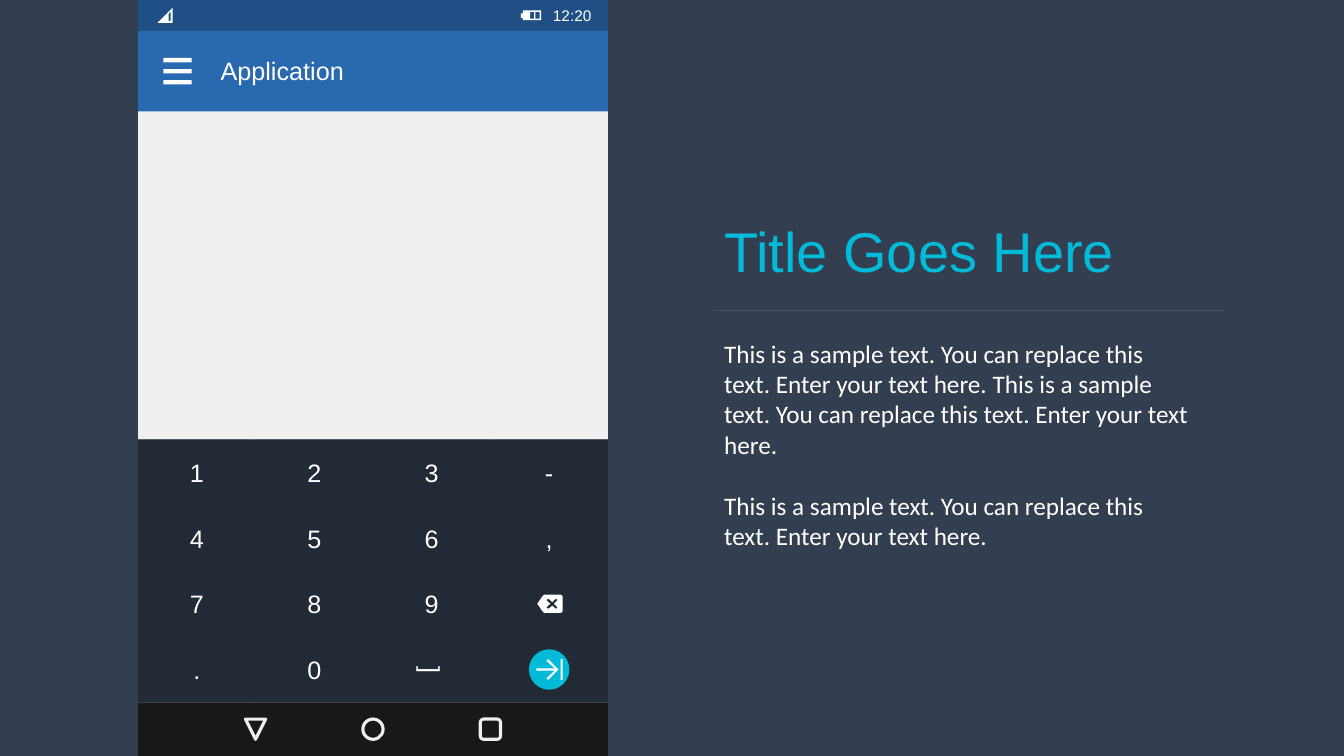
from lxml.etree import SubElement
from pptx import Presentation
from pptx.dml.color import RGBColor
from pptx.enum.shapes import MSO_CONNECTOR, MSO_SHAPE
from pptx.enum.text import MSO_ANCHOR, MSO_AUTO_SIZE, PP_ALIGN
from pptx.oxml.ns import qn
from pptx.util import Cm, Pt

COLORS = {
    "background": "333F50", "screen": "EFEFEF", "status": "1F4F84",
    "app_bar": "2969B0", "keypad": "222A35", "nav": "181818",
    "accent": "03BAD9", "white": "FFFFFF", "edge": "BFBFBF", "rule": "44546A",
}
SIGNAL = [
    [(0.38, 0), (0.38, 0.38), (0, 0.38)],
    [(0.33, 0.1), (0.28, 0.15), (0.28, 0.33), (0.33, 0.33)],
]
BATTERY = [
    [(0, 0.08), (0.05, 0.08), (0.05, 0), (0.51, 0),
     (0.51, 0.25), (0.05, 0.25), (0.05, 0.2), (0, 0.2)],
    [(0.23, 0.04), (0.23, 0.21), (0.33, 0.21), (0.33, 0.04)],
    [(0.36, 0.04), (0.36, 0.21), (0.47, 0.21), (0.47, 0.04)],
]
MENU = [[(0, y), (0.71, y), (0.71, y + 0.11), (0, y + 0.11)] for y in (0, 0.28, 0.56)]
BACKSPACE = [
    [(0, 0.23), (0.14, 0.03), (0.18, 0), (0.6, 0), (0.64, 0.04),
     (0.64, 0.42), (0.6, 0.46), (0.18, 0.46), (0.14, 0.43)],
    [(0.28, 0.1), (0.23, 0.14), (0.33, 0.23), (0.23, 0.32), (0.28, 0.36), (0.38, 0.28),
     (0.47, 0.36), (0.51, 0.32), (0.42, 0.23), (0.51, 0.14), (0.47, 0.1), (0.38, 0.19)],
]
ENTER = [
    [(0, 0.23), (0.46, 0.23), (0.25, 0.04), (0.3, 0), (0.55, 0.26),
     (0.3, 0.52), (0.25, 0.48), (0.46, 0.29), (0, 0.29)],
    [(0.61, 0), (0.66, 0), (0.66, 0.52), (0.61, 0.52)],
]
KEYS = ["123-", "456,", "789 ", ".0] "]


def rgb(name):
    return RGBColor.from_string(COLORS[name])


def write(sp, *texts, size=18, font="Arial", color="white",
          align=PP_ALIGN.LEFT, anchor=MSO_ANCHOR.TOP, gap=0):
    tf = sp.text_frame
    tf.word_wrap = True
    tf.auto_size = MSO_AUTO_SIZE.NONE
    tf.vertical_anchor = anchor
    for i, text in enumerate(texts):
        p = tf.paragraphs[0] if i == 0 else tf.add_paragraph()
        p.alignment = align
        if i:
            p.space_before = Pt(gap)
        r = p.add_run()
        r.text = text
        r.font.size = Pt(size)
        r.font.name = font
        r.font.color.rgb = rgb(color)


def add_text(shapes, x, y, w, h, *texts, **style):
    write(shapes.add_textbox(Cm(x), Cm(y), Cm(w), Cm(h)), *texts, **style)


def add_box(shapes, x, y, w, h, fill=None, kind=MSO_SHAPE.RECTANGLE, line=None):
    sp = shapes.add_shape(kind, Cm(x), Cm(y), Cm(w), Cm(h))
    sp.shadow.inherit = False
    if fill:
        sp.fill.solid()
        sp.fill.fore_color.rgb = rgb(fill)
    else:
        sp.fill.background()
    if line:
        sp.line.color.rgb = rgb(line)
        sp.line.width = Pt(2.25)
    else:
        sp.line.fill.background()
    return sp


def add_line(shapes, x, y, w, color, width):
    line = shapes.add_connector(MSO_CONNECTOR.STRAIGHT, Cm(x), Cm(y), Cm(x + w), Cm(y))
    line.line.color.rgb = rgb(color)
    line.line.width = Pt(width)
    SubElement(line._element.spPr, qn("a:effectLst"))


def add_icon(shapes, x, y, contours):
    first, *others = [[(Cm(x + dx), Cm(y + dy)) for dx, dy in c] for c in contours]
    builder = shapes.build_freeform(*first[0])
    builder.add_line_segments(first[1:], close=True)
    for contour in others:
        builder.move_to(*contour[0])
        builder.add_line_segments(contour[1:], close=True)
    sp = builder.convert_to_shape()
    sp.shadow.inherit = False
    sp.fill.solid()
    sp.fill.fore_color.rgb = rgb("white")
    sp.line.fill.background()


def add_status_bar(s, x, y, w, h):
    shapes = s.shapes.add_group_shape().shapes
    add_box(shapes, x, y, w, h, "status")
    add_icon(shapes, x + 0.49, y + 0.2, SIGNAL)
    add_icon(shapes, x + w - 2.19, y + 0.26, BATTERY)
    add_text(shapes, x + w - 1.81, y + 0.02, 1.65, 0.73, "12:20",
             size=11, align=PP_ALIGN.RIGHT)


def add_app_bar(s, x, y, w, h):
    add_box(s.shapes, x, y, w, h, "app_bar")
    add_icon(s.shapes, x + 0.64, y + 0.68, MENU)
    add_text(s.shapes, x + 1.83, y + 0.49, 4.14, 1.02, "Application")


def add_keypad(s, x, y, w, h):
    add_box(s.shapes, x, y, w, h, "keypad")
    add_line(s.shapes, x, y, w, "edge", 1)
    key_w, key_h = w / 4, h / 4
    for row, labels in enumerate(KEYS):
        for col, label in enumerate(labels):
            cx, cy = x + (col + 0.5) * key_w, y + (row + 0.5) * key_h
            bw, bh = (key_h, key_w) if label == "]" else (key_w, key_h)
            key = add_box(s.shapes, cx - bw / 2, cy - bh / 2, bw, bh, "keypad")
            if label == "]":
                key.rotation = 90
            if label != " ":
                write(key, label, align=PP_ALIGN.CENTER, anchor=MSO_ANCHOR.MIDDLE)
    cx = x + 3.5 * key_w
    add_icon(s.shapes, cx - 0.3, y + 2.5 * key_h - 0.23, BACKSPACE)
    shapes = s.shapes.add_group_shape().shapes
    cy = y + 3.5 * key_h
    add_box(shapes, cx - 0.51, cy - 0.51, 1.02, 1.02, "accent", MSO_SHAPE.OVAL)
    add_icon(shapes, cx - 0.32, cy - 0.26, ENTER)


def add_nav_bar(s, x, y, w, h):
    shapes = s.shapes.add_group_shape().shapes
    add_box(shapes, x, y, w, h, "nav")
    size = 0.51
    kinds = (MSO_SHAPE.ISOSCELES_TRIANGLE, MSO_SHAPE.OVAL, MSO_SHAPE.ROUNDED_RECTANGLE)
    for i, kind in enumerate(kinds, 1):
        button = add_box(shapes, x + i * w / 4 - size / 2, y + (h - size) / 2,
                         size, size, kind=kind, line="screen")
        if kind == MSO_SHAPE.ISOSCELES_TRIANGLE:
            button.rotation = 180


def add_phone(s, x, y, w, h):
    add_box(s.shapes, x, y + 0.74, w, h - 0.74, "screen")
    add_status_bar(s, x, y, w, 0.78)
    add_nav_bar(s, x, y + h - 1.35, w, 1.35)
    add_app_bar(s, x, y + 0.78, w, 2.03)
    add_keypad(s, x, y + 11.07, w, h - 11.07 - 1.35)


def add_description(s, x, y, w):
    title = s.shapes.title
    title.left, title.top, title.width, title.height = Cm(x), Cm(y), Cm(w), Cm(1.96)
    write(title, "Title Goes Here", size=40, color="accent")
    add_line(s.shapes, x, y + 2.48, w, "rule", 0.5)
    sample = "This is a sample text. You can replace this text. Enter your text here."
    add_text(s.shapes, x, y + 3.07, w - 0.63, 6.4, f"{sample} {sample}", sample,
             font="Calibri", gap=22)


def main():
    prs = Presentation()
    prs.slide_width, prs.slide_height = Cm(33.87), Cm(19.05)
    s = prs.slides.add_slide(prs.slide_layouts[5])
    s.background.fill.solid()
    s.background.fill.fore_color.rgb = rgb("background")
    add_phone(s, 3.48, 0, 11.84, 19.05)
    add_description(s, 18, 5.33, 12.85)
    prs.save("out.pptx")


if __name__ == "__main__":
    main()
